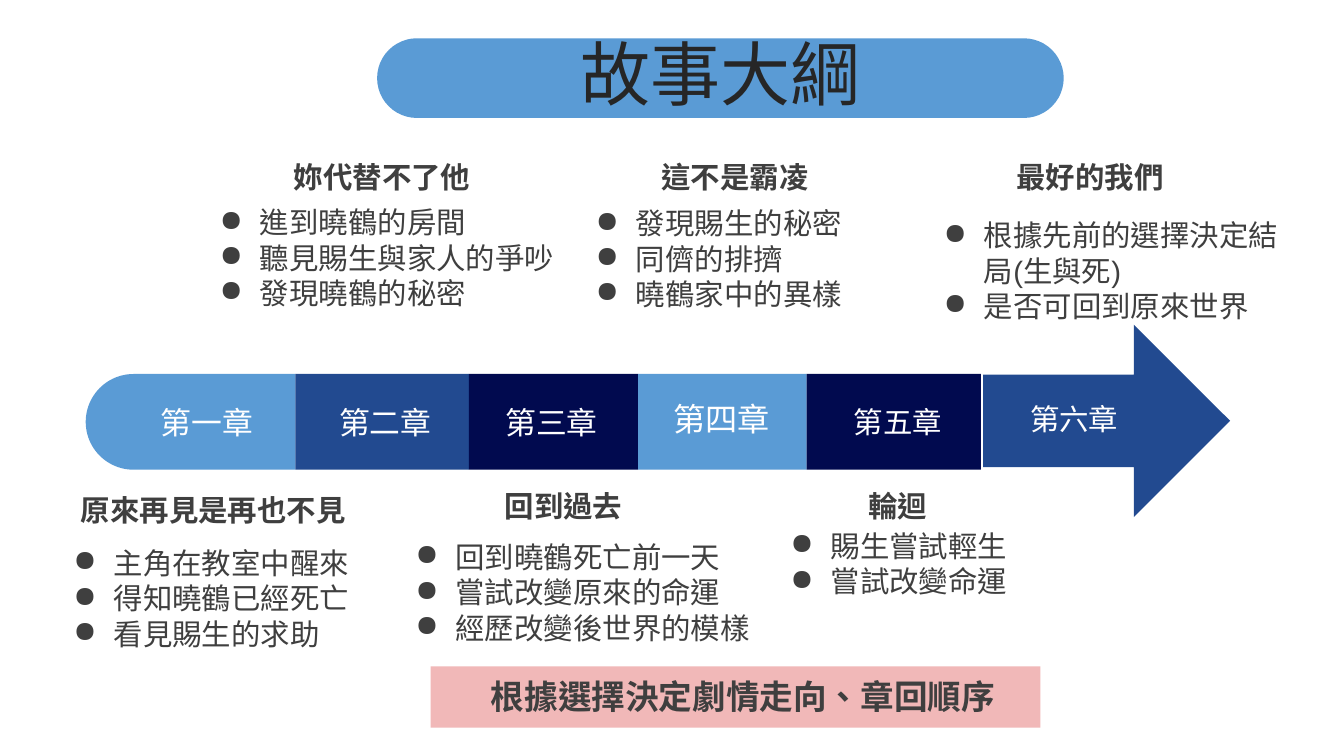
import collections

import lxml.etree
import pptx
import pptx.dml.color
import pptx.enum.lang
import pptx.enum.shapes
import pptx.enum.text
import pptx.oxml.ns
import pptx.util

SHAPE = pptx.enum.shapes.MSO_SHAPE
ALIGN = pptx.enum.text.PP_ALIGN
ANCHOR = pptx.enum.text.MSO_ANCHOR
LANGUAGE = pptx.enum.lang.MSO_LANGUAGE_ID.TRADITIONAL_CHINESE

# The slide is a grid of square cells, 75 rows high and 133.3 columns wide.
CELL = pptx.util.Inches(0.1)
COLUMNS, ROWS = 133.3, 75

SKY, ROYAL, NAVY, PINK = "5A9BD5", "224A90", "010A4F", "F1B8B8"
INK, TITLE_INK, WHITE = "3F3F3F", "262626", "FFFFFF"

Box = collections.namedtuple("Box", "left top width height")
Chapter = collections.namedtuple(
    "Chapter", "box heading_left heading_width points_top heading points")

CHAPTERS = [
    Chapter(Box(5.3, 48.3, 32.2, 16.9), 1.2, 29.3, 5.3, "原來再見是再也不見",
            ["主角在教室中醒來", "得知曉鶴已經死亡", "看見賜生的求助"]),
    Chapter(Box(19.8, 15.3, 36.2, 16.1), 6.8, 22.6, 4.5, "妳代替不了他",
            ["進到曉鶴的房間", "聽見賜生與家人的爭吵", "發現曉鶴的秘密"]),
    Chapter(Box(39.2, 47.9, 37.1, 16.7), 7.4, 18.6, 5.1, "回到過去",
            ["回到曉鶴死亡前一天", "嘗試改變原來的命運", "經歷改變後世界的模樣"]),
    Chapter(Box(57.1, 15.3, 30.6, 16.2), 6.5, 18.6, 4.6, "這不是霸凌",
            ["發現賜生的秘密", "同儕的排擠", "曉鶴家中的異樣"]),
    Chapter(Box(76.4, 47.9, 28.1, 12.1), 6.1, 13.1, 4, "輪迴",
            ["賜生嘗試輕生", "嘗試改變命運"]),
    Chapter(Box(91.6, 15.3, 36.2, 17.4), 6.6, 19.8, 5.8, "最好的我們",
            ["根據先前的選擇決定結局(生與死)", "是否可回到原來世界"]),
]


def color(hex_value):
    """Turn a hex string into a colour."""
    return pptx.dml.color.RGBColor.from_string(hex_value)


def within(box, left, top, width, height):
    """Return a box given relative to the corner of another."""
    return Box(box.left + left, box.top + top, width, height)


def emu(box):
    """Return the box as lengths on the slide."""
    return [round(cells * CELL) for cells in box]


def assign(target, formats):
    """Set each attribute named in the dict."""
    for name, value in formats.items():
        setattr(target, name, value)


def add_block(slide, preset, box, fill):
    """Draw a plain filled shape."""
    block = slide.shapes.add_shape(preset, *emu(box))
    block.shadow.inherit = False
    block.fill.solid()
    block.fill.fore_color.rgb = color(fill)
    block.line.fill.background()
    return block


def write(frame, lines, size, ink, align=ALIGN.CENTER, bold=False, bullet=None,
          indent=(0, 0), anchor=ANCHOR.TOP):
    """Fill a text frame, one paragraph for each line."""
    assign(frame, {"word_wrap": True, "vertical_anchor": anchor,
                   "auto_size": pptx.enum.text.MSO_AUTO_SIZE.NONE})
    for number, line in enumerate(lines):
        paragraph = frame.add_paragraph() if number else frame.paragraphs[0]
        paragraph.alignment = align
        run = paragraph.add_run()
        run.text = line
        assign(run.font, {"size": pptx.util.Pt(size), "name": "Arial",
                          "bold": bold, "language_id": LANGUAGE})
        run.font.color.rgb = color(ink)
        properties = paragraph._p.get_or_add_pPr()
        margin, hanging = indent
        properties.set("marL", str(pptx.util.Inches(margin)))
        properties.set("indent", str(pptx.util.Inches(hanging)))
        if bullet:
            mark_color = lxml.etree.SubElement(properties, pptx.oxml.ns.qn("a:buClr"))
            lxml.etree.SubElement(mark_color, pptx.oxml.ns.qn("a:srgbClr"), val=ink)
            lxml.etree.SubElement(properties, pptx.oxml.ns.qn("a:buChar"), char=bullet)


def add_text(slide, box, lines, size, ink, **formats):
    """Place a text box."""
    write(slide.shapes.add_textbox(*emu(box)).text_frame, lines, size, ink, **formats)


def add_title(slide, box):
    """Set the slide title on a pill."""
    pill = add_block(slide, SHAPE.ROUNDED_RECTANGLE, box, SKY)
    pill.adjustments[0] = 0.5
    title = slide.shapes.title
    assign(title, dict(zip(Box._fields, emu(box))))
    write(title.text_frame, ["故事大綱"], 50, TITLE_INK, anchor=ANCHOR.MIDDLE)
    title.text_frame.paragraphs[0].line_spacing = 0.9
    pill._element.addnext(title._element)


def add_timeline(slide, box):
    """Draw the six chapters as one band that ends in an arrow."""
    band_top, band_height = 4.9, 9.5
    edges = [0, 20.8, 38, 54.8, 71.5, 88.8]
    start = within(box, (edges[1] - band_height) / 2,
                   band_top + (band_height - edges[1]) / 2, band_height, edges[1])
    cap = add_block(slide, SHAPE.ROUND_2_SAME_RECTANGLE, start, SKY)
    cap.rotation = 270
    cap.adjustments[0] = 0.5
    for left, right, fill in zip(edges[1:], edges[2:], [ROYAL, NAVY, SKY, NAVY]):
        add_block(slide, SHAPE.RECTANGLE,
                  within(box, left, band_top, right - left, band_height), fill)
    arrow_left = edges[-1] + 0.2
    arrow = add_block(slide, SHAPE.RIGHT_ARROW,
                      within(box, arrow_left, 0, box.width - arrow_left, box.height), ROYAL)
    arrow.adjustments[0], arrow.adjustments[1] = 0.48, 0.5

    label_width, label_height = 13.1, 4.7
    labels = [("第一章", 12, 9.65, 22), ("第二章", 29.7, 9.65, 22),
              ("第三章", 46.2, 9.65, 22), ("第四章", 63.1, 9.3, 23),
              ("第五章", 80.55, 9.65, 21), ("第六章", 98.05, 9.35, 21)]
    for label, center, middle, size in labels:
        add_text(slide, within(box, center - label_width / 2, middle - label_height / 2,
                               label_width, label_height),
                 [label], size, WHITE, anchor=ANCHOR.MIDDLE)


def add_chapter(slide, chapter):
    """Place a chapter's heading with its bullet points below."""
    box = chapter.box
    add_text(slide, within(box, chapter.heading_left, 0, chapter.heading_width, 4.5),
             [chapter.heading], 21, INK, bold=True)
    add_text(slide, within(box, 0, chapter.points_top, box.width,
                           box.height - chapter.points_top),
             chapter.points, 21, INK, align=ALIGN.LEFT, bullet="●", indent=(0.5, -0.4))


def add_conclusion(slide, box):
    """Draw the bar with the closing remark."""
    bar = add_block(slide, SHAPE.RECTANGLE, box, PINK)
    assign(bar.text_frame, dict.fromkeys(["margin_top", "margin_bottom"], CELL))
    write(bar.text_frame, ["根據選擇決定劇情走向、章回順序"], 24, INK,
          align=ALIGN.LEFT, bold=True, indent=(0.5, 0))


def build_outline(presentation):
    """Build the story outline slide."""
    slide = presentation.slides.add_slide(presentation.slide_layouts[5])
    add_title(slide, Box(37.4, 3.8, 68.1, 7.9))
    add_timeline(slide, Box(8.5, 32.2, 113.5, 19.1))
    for chapter in CHAPTERS:
        add_chapter(slide, chapter)
    add_conclusion(slide, Box(42.7, 66.1, 60.5, 6.1))


story = pptx.Presentation()
assign(story, {"slide_width": round(COLUMNS * CELL), "slide_height": ROWS * CELL})
build_outline(story)
story.save("out.pptx")
